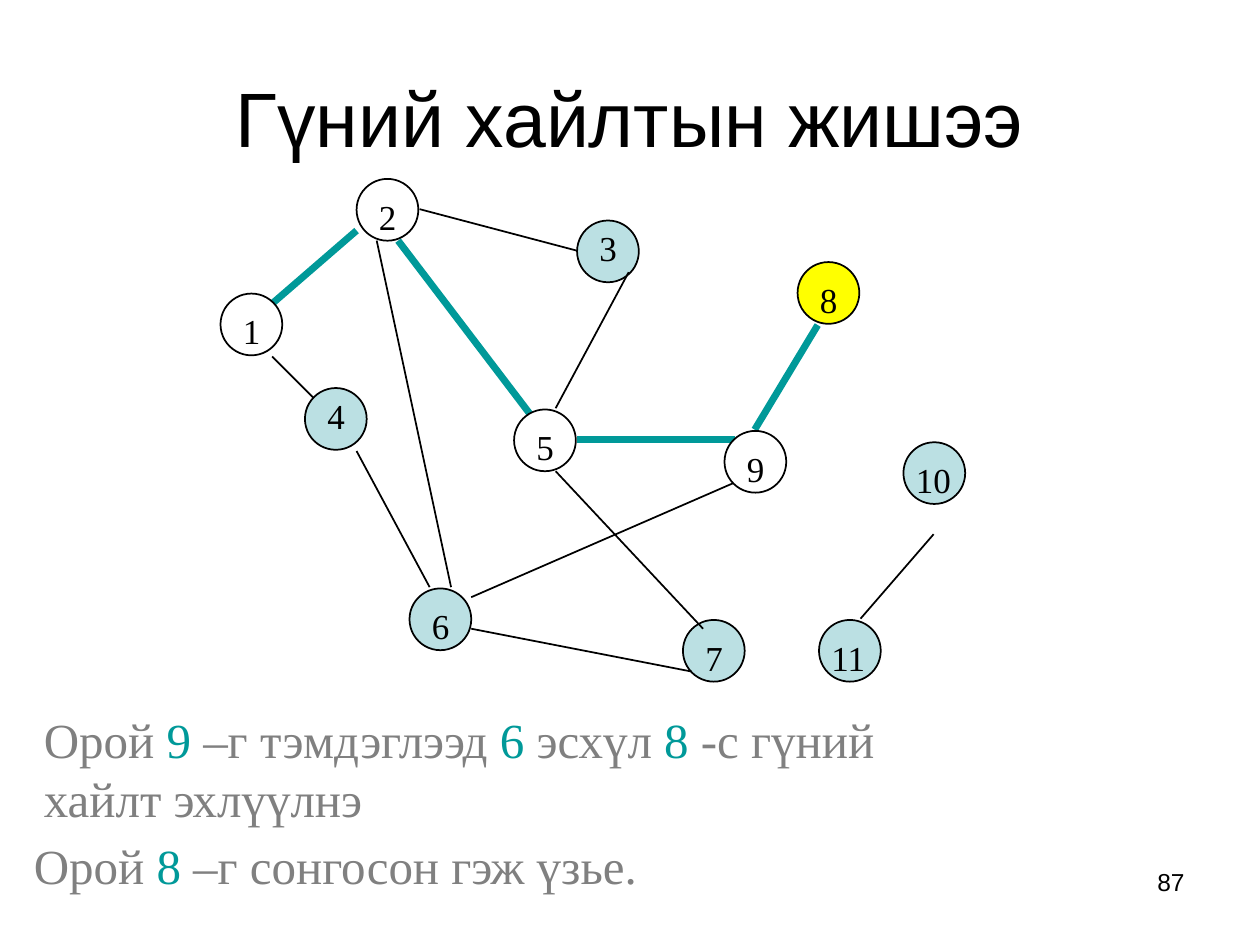
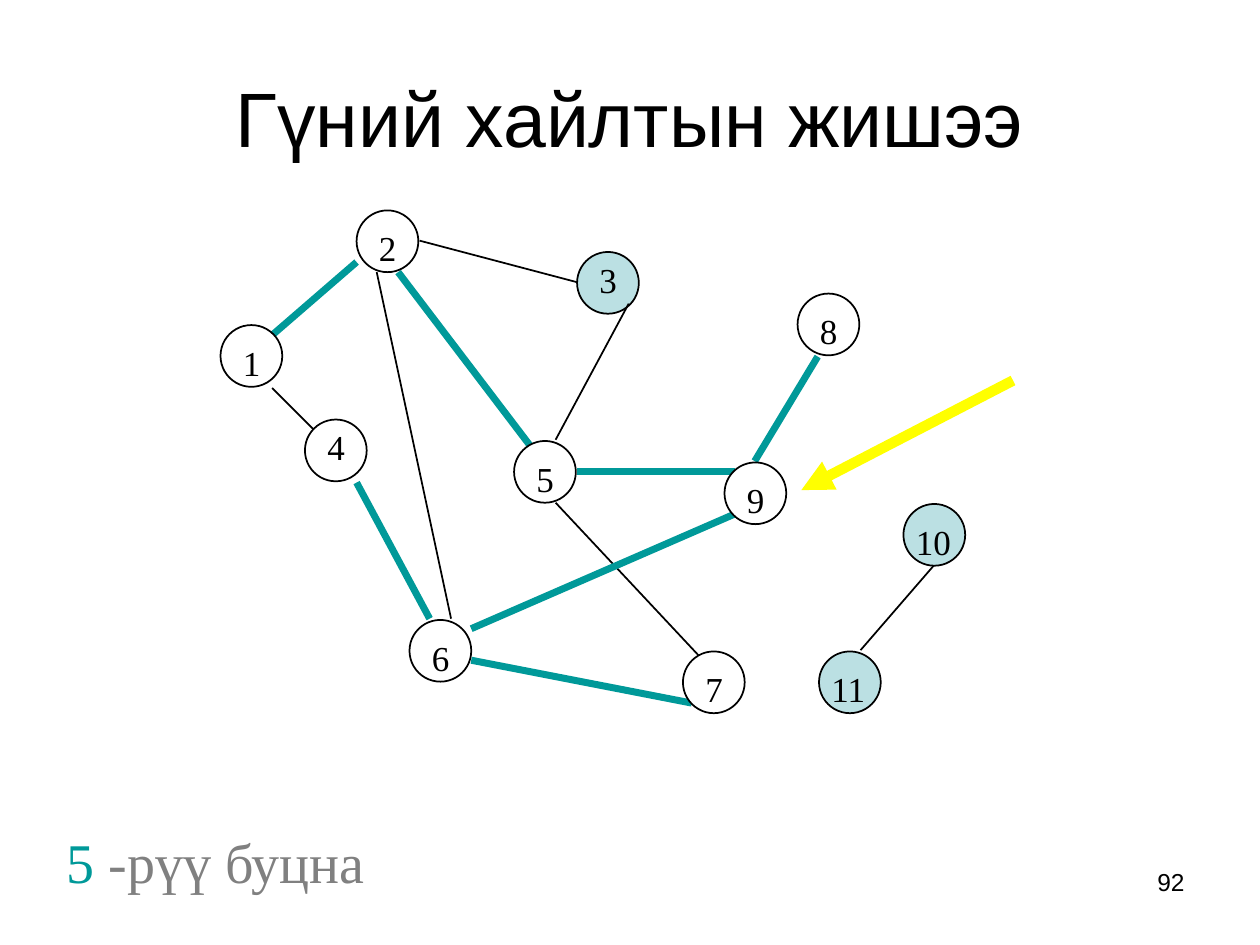
from pptx import Presentation
from pptx import util as u
from pptx.dml.color import RGBColor
from pptx.enum import shapes, text
from pptx.oxml.ns import qn
from lxml import etree

BLACK = RGBColor(0x00, 0x00, 0x00)
WHITE = RGBColor(0xFF, 0xFF, 0xFF)
GREY = RGBColor(0x80, 0x80, 0x80)
TEAL = RGBColor(0x00, 0x99, 0x99)
PALE = RGBColor(0xBB, 0xE0, 0xE3)
YELLOW = RGBColor(0xFF, 0xFF, 0x00)
SANS = "Arial"
SERIF = "Times New Roman"
TITLE = "Гүний хайлтын жишээ"
NODE_SIZE = 0.49

nodes = {
    1: (1.75, 2.33), 2: (2.83, 1.42), 3: (4.58, 1.75), 4: (2.42, 3.08),
    5: (4.08, 3.25), 6: (3.25, 4.67), 7: (5.42, 4.92), 8: (6.33, 2.08),
    9: (5.75, 3.42), 10: (7.17, 3.75), 11: (6.5, 4.92),
}
edges = {
    (1, 2): (2.83, 1.83, 2.16, 2.41),
    (2, 5): (3.16, 1.91, 4.24, 3.33),
    (1, 4): (2.16, 2.83, 2.49, 3.16),
    (4, 6): (2.83, 3.58, 3.41, 4.66),
    (6, 7): (3.74, 4.99, 5.49, 5.33),
    (3, 5): (4.99, 2.16, 4.41, 3.24),
    (5, 7): (4.41, 3.74, 5.58, 4.99),
    (8, 9): (6.49, 2.58, 5.99, 3.41),
    (10, 11): (6.83, 4.91, 7.41, 4.24),
    (5, 9): (4.58, 3.49, 5.83, 3.49),
    (2, 3): (3.33, 1.66, 4.58, 1.99),
    (2, 6): (2.99, 1.91, 3.58, 4.66),
    (6, 9): (3.74, 4.74, 5.83, 3.83),
}
first_path = {(1, 2), (2, 5), (5, 9), (8, 9)}
steps = [
    {
        "number": "87", "drop": 0, "current": 8, "moved": {10: (7.17, 3.51)},
        "visited": {1, 2, 5, 8, 9}, "path_edges": first_path, "pointer": None,
        "captions": [
            ((0.25, 5.58, 7.75, 1.04), 28, [
                ("Орой ", GREY), ("9 ", TEAL), ("–г тэмдэглээд ", GREY),
                ("6 ", TEAL), ("эсхүл ", GREY), ("8 ", TEAL),
                ("-с гүний хайлт эхлүүлнэ", GREY)]),
            ((0.17, 6.58, 7.75, 0.57), 28, [
                ("Орой ", GREY), ("8 ", TEAL), ("–г сонгосон гэж үзье.", GREY)]),
        ],
    },
    {
        "number": "92", "drop": 0.25, "current": None, "moved": {},
        "visited": {1, 2, 4, 5, 6, 7, 8, 9},
        "path_edges": first_path | {(6, 9), (4, 6), (6, 7)},
        "pointer": (8.04, 3.02, 6.36, 3.89),
        "captions": [
            ((0.43, 6.52, 3.99, 0.63), 32, [("5 ", TEAL), ("-рүү буцна", GREY)]),
        ],
    },
]


def add_text(slide, box, runs, size, font=SERIF, align=text.PP_ALIGN.LEFT):
    frame = slide.shapes.add_textbox(*map(u.Inches, box)).text_frame
    frame.word_wrap = True
    paragraph = frame.paragraphs[0]
    paragraph.alignment = align
    paragraph.font.name = font
    paragraph.font.size = u.Pt(size)
    for words, color in runs:
        run = paragraph.add_run()
        run.text = words
        run.font.color.rgb = color


def add_line(slide, ends, color, width):
    connector = slide.shapes.add_connector(
        shapes.MSO_CONNECTOR.STRAIGHT, *map(u.Inches, ends))
    connector.line.color.rgb = color
    connector.line.width = u.Pt(width)
    etree.SubElement(connector._element.spPr, qn("a:effectLst"))
    return connector


presentation = Presentation()
presentation.slide_width = u.Inches(10)
presentation.slide_height = u.Inches(7.5)

for step in steps:
    slide = presentation.slides.add_slide(presentation.slide_layouts[5])
    title = slide.shapes.title
    title.left, title.top, title.width, title.height = map(u.Inches, (0.5, 0.3, 9, 1.25))
    title.text_frame.text = TITLE
    title.text_frame.vertical_anchor = text.MSO_ANCHOR.MIDDLE
    paragraph = title.text_frame.paragraphs[0]
    paragraph.alignment = text.PP_ALIGN.CENTER
    paragraph.font.name = SANS
    paragraph.font.size = u.Pt(44)
    paragraph.font.color.rgb = BLACK

    drop = step["drop"]
    positions = nodes | step["moved"]
    unvisited = nodes.keys() - step["visited"]
    layers = [
        (unvisited, edges.keys() - step["path_edges"], BLACK, 1),
        (step["visited"], step["path_edges"], TEAL, 4),
    ]
    for layer_nodes, layer_edges, line_color, line_width in layers:
        if layer_nodes is not unvisited:
            for edge in sorted(layer_edges):
                x1, y1, x2, y2 = edges[edge]
                add_line(slide, (x1, y1 + drop, x2, y2 + drop), line_color, line_width)
        for node in sorted(layer_nodes):
            left, top = positions[node]
            top += drop
            circle = slide.shapes.add_shape(
                shapes.MSO_SHAPE.OVAL,
                *map(u.Inches, (left, top, NODE_SIZE, NODE_SIZE)))
            circle.shadow.inherit = False
            circle.fill.solid()
            circle.fill.fore_color.rgb = (
                YELLOW if node == step["current"] else PALE if node in unvisited else WHITE)
            circle.line.color.rgb = BLACK
            circle.line.width = u.Pt(1)
            label_left = left + 0.08 if node < 10 else left
            label_top = top if node in (3, 4) else top + 0.08
            label_width = 0.36 if node < 10 else 0.5
            add_text(slide, (label_left, label_top, label_width, 0.43),
                     [(str(node), BLACK)], 20)
        if layer_nodes is unvisited:
            for edge in sorted(layer_edges):
                x1, y1, x2, y2 = edges[edge]
                add_line(slide, (x1, y1 + drop, x2, y2 + drop), line_color, line_width)

    if step["pointer"]:
        pointer = add_line(slide, step["pointer"], YELLOW, 6)
        etree.SubElement(pointer.line._get_or_add_ln(), qn("a:tailEnd"), type="triangle")
    for box, size, runs in step["captions"]:
        add_text(slide, box, runs, size)
    add_text(slide, (7.17, 6.83, 2.33, 0.52), [(step["number"], BLACK)],
             14, SANS, text.PP_ALIGN.RIGHT)

presentation.save("out.pptx")
